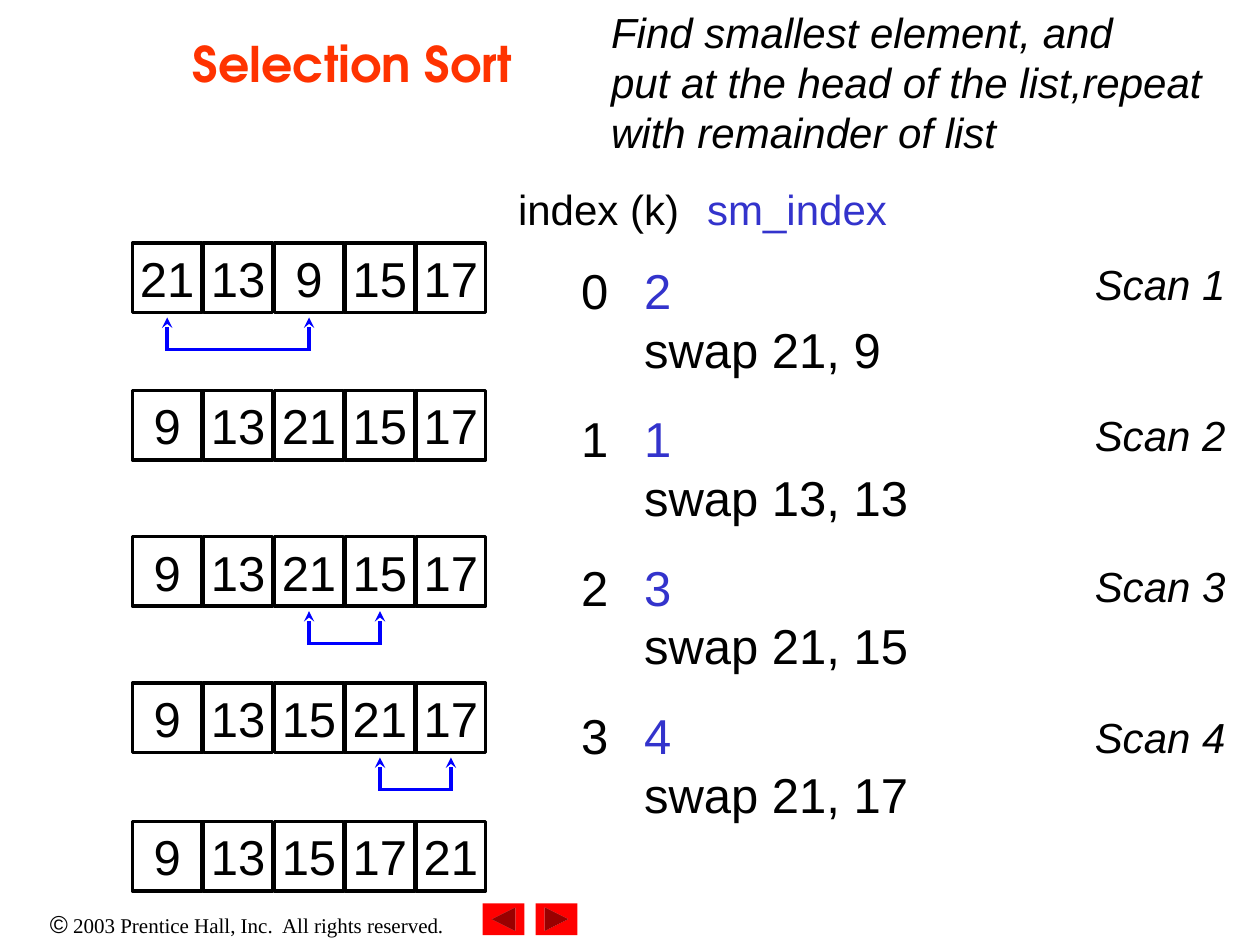
from dataclasses import dataclass
from typing import Optional

from lxml import etree
from pptx import Presentation
from pptx.dml.color import RGBColor
from pptx.enum.shapes import MSO_CONNECTOR, MSO_SHAPE
from pptx.enum.text import MSO_ANCHOR, MSO_AUTO_SIZE, PP_ALIGN
from pptx.oxml.ns import qn
from pptx.util import Cm, Pt

RECTANGLE = MSO_SHAPE.RECTANGLE
NEXT_BUTTON = MSO_SHAPE.ACTION_BUTTON_FORWARD_OR_NEXT
STRAIGHT = MSO_CONNECTOR.STRAIGHT
TOP, MIDDLE, BOTTOM = MSO_ANCHOR.TOP, MSO_ANCHOR.MIDDLE, MSO_ANCHOR.BOTTOM
LEFT, CENTER = PP_ALIGN.LEFT, PP_ALIGN.CENTER
NO_AUTOSIZE = MSO_AUTO_SIZE.NONE

BLACK, INDEX_BLUE, ARROW_BLUE = "000000", "3333CC", "0000FF"
TITLE_RED, BUTTON_RED = "FF3300", "FF0000"
SANS, SERIF, DISPLAY = "Arial", "Times New Roman", "TeX Gyre Adventor"

# Geometry of the number lists, in cm
CELL_LEFT, CELL_PITCH, CELL_SIZE = 2.67, 1.43, 1.4
ARROW_GAP, ARROW_HEIGHT, BAR_OVERHANG = 1.5, 0.65, 0.04
LINE_WIDTH = Pt(2)


@dataclass
class ListState:
    top: float
    values: tuple
    swap: Optional[tuple] = None  # positions joined by the swap arrows


@dataclass
class Step:
    index: int
    smallest: int
    swapped: str


STATES = [
    ListState(4.9, (21, 13, 9, 15, 17), (0, 2)),
    ListState(7.87, (9, 13, 21, 15, 17)),
    ListState(10.82, (9, 13, 21, 15, 17), (2, 3)),
    ListState(13.77, (9, 13, 15, 21, 17), (3, 4)),
    ListState(16.56, (9, 13, 15, 17, 21)),
]
STEPS = [Step(0, 2, "21, 9"), Step(1, 1, "13, 13"),
         Step(2, 3, "21, 15"), Step(3, 4, "21, 17")]


def rgb(value: str) -> RGBColor:
    return RGBColor.from_string(value)


def add_run(paragraph, text: str, size: float, color: str = BLACK,
            font: str = SANS, bold: bool = False, italic: bool = False) -> None:
    run = paragraph.add_run()
    run.text = text
    run.font.size = Pt(size)
    run.font.name = font
    run.font.bold = bold
    run.font.italic = italic
    run.font.color.rgb = rgb(color)


def place(shape, left: float, top: float, width: float, height: float) -> None:
    shape.left, shape.top = Cm(left), Cm(top)
    shape.width, shape.height = Cm(width), Cm(height)


def set_frame(frame, anchor=TOP, wrap: bool = True) -> None:
    frame.auto_size = NO_AUTOSIZE
    frame.word_wrap = wrap
    frame.vertical_anchor = anchor


def add_textbox(slide, left: float, top: float, width: float, height: float,
                wrap: bool = True):
    frame = slide.shapes.add_textbox(
        Cm(left), Cm(top), Cm(width), Cm(height)).text_frame
    set_frame(frame, wrap=wrap)
    return frame


def next_paragraph(frame, first: bool):
    return frame.paragraphs[0] if first else frame.add_paragraph()


def plain_with_tabs(paragraph, *stops: float) -> None:
    """Remove the bullet and indent, and set tab stops in cm."""
    props = paragraph._p.get_or_add_pPr()
    props.set("marL", "0")
    props.set("indent", "0")
    etree.SubElement(props, qn("a:buNone"))
    tabs = etree.SubElement(props, qn("a:tabLst"))
    for stop in stops:
        etree.SubElement(tabs, qn("a:tab"), pos=str(Cm(stop)), algn="l")
    paragraph.alignment = LEFT
    paragraph.space_before = Pt(0)


def add_line(group, x1: float, y1: float, x2: float, y2: float,
             arrow_at_start: bool = False) -> None:
    line = group.shapes.add_connector(STRAIGHT, Cm(x1), Cm(y1), Cm(x2), Cm(y2))
    line.line.color.rgb = rgb(ARROW_BLUE)
    line.line.width = LINE_WIDTH
    if arrow_at_start:
        etree.SubElement(line.line._get_or_add_ln(), qn("a:headEnd"), type="stealth")
    etree.SubElement(line._element.spPr, qn("a:effectLst"))


def draw_state(slide, state: ListState) -> None:
    group = slide.shapes.add_group_shape()
    for position, value in enumerate(state.values):
        cell = group.shapes.add_shape(
            RECTANGLE, Cm(CELL_LEFT + position * CELL_PITCH), Cm(state.top),
            Cm(CELL_SIZE), Cm(CELL_SIZE))
        cell.shadow.inherit = False
        cell.fill.background()
        cell.line.color.rgb = rgb(BLACK)
        cell.line.width = LINE_WIDTH
        set_frame(cell.text_frame, MIDDLE, wrap=False)
        number = cell.text_frame.paragraphs[0]
        number.alignment = CENTER
        add_run(number, str(value), 28)
    if state.swap:
        tip = state.top + ARROW_GAP
        base = tip + ARROW_HEIGHT
        ends = [CELL_LEFT + CELL_SIZE / 2 + p * CELL_PITCH for p in state.swap]
        for x in ends:
            add_line(group, x, tip, x, base, arrow_at_start=True)
        add_line(group, ends[0] - BAR_OVERHANG, base, ends[1] + BAR_OVERHANG, base)


def draw_steps(body) -> None:
    place(body, 10.19, 3.58, 13.1, 13.16)
    frame = body.text_frame
    set_frame(frame)
    heading = frame.paragraphs[0]
    plain_with_tabs(heading, 3.81)
    heading.space_after = Pt(15)
    add_run(heading, "index (k)\t", 24)
    add_run(heading, "sm_index", 24, INDEX_BLUE)
    for step in STEPS:
        row = frame.add_paragraph()
        plain_with_tabs(row, 1.3, 4.9)
        row.space_after = Pt(17.5)
        add_run(row, f"\t{step.index}\t", 28)
        add_run(row, str(step.smallest), 28, INDEX_BLUE)
        row.add_line_break()
        add_run(row, f"\t\tswap {step.swapped}", 28)


def draw_button(slide, left: float, rotation: int) -> None:
    button = slide.shapes.add_shape(NEXT_BUTTON, Cm(left), Cm(18.21), Cm(0.84), Cm(0.64))
    button.rotation = rotation
    button.shadow.inherit = False
    button.fill.solid()
    button.fill.fore_color.rgb = rgb(BUTTON_RED)
    button.line.fill.background()


def main() -> None:
    deck = Presentation()
    deck.slide_width, deck.slide_height = Cm(25.4), Cm(19.05)
    slide = deck.slides.add_slide(deck.slide_layouts[1])

    # Title and step table
    title = slide.shapes.title
    place(title, 1.9, 0.2, 10.7, 1.78)
    set_frame(title.text_frame, BOTTOM)
    heading = title.text_frame.paragraphs[0]
    heading.alignment = CENTER
    add_run(heading, "Selection Sort ", 28, TITLE_RED, DISPLAY, bold=True)
    draw_steps(slide.placeholders[1])

    # Footer and navigation
    copyright_line = add_textbox(slide, 0, 18.21, 9.96, 0.86).paragraphs[0]
    copyright_line.alignment = CENTER
    add_run(copyright_line, "©", 14)
    add_run(copyright_line, " 2003 Prentice Hall, Inc.  All rights reserved.", 12, font=SERIF)
    draw_button(slide, 10.8, 0)
    draw_button(slide, 9.73, 180)

    # List after each scan
    for state in STATES:
        draw_state(slide, state)

    # Summary of the algorithm
    summary = add_textbox(slide, 12.07, 0, 12.42, 3.3, wrap=False)
    for number, text in enumerate(("Find smallest element, and",
                                   "put at the head of the list,repeat",
                                   "with remainder of list")):
        add_run(next_paragraph(summary, number == 0), text, 24, italic=True)

    # Scan labels
    scans = add_textbox(slide, 21.82, 5.08, 3.15, 10.41, wrap=False)
    for number in range(len(STEPS)):
        label = next_paragraph(scans, number == 0)
        if number:
            label.space_before = Pt(57.5)
        add_run(label, f"Scan {number + 1}", 24, italic=True)

    deck.save("out.pptx")


if __name__ == "__main__":
    main()
